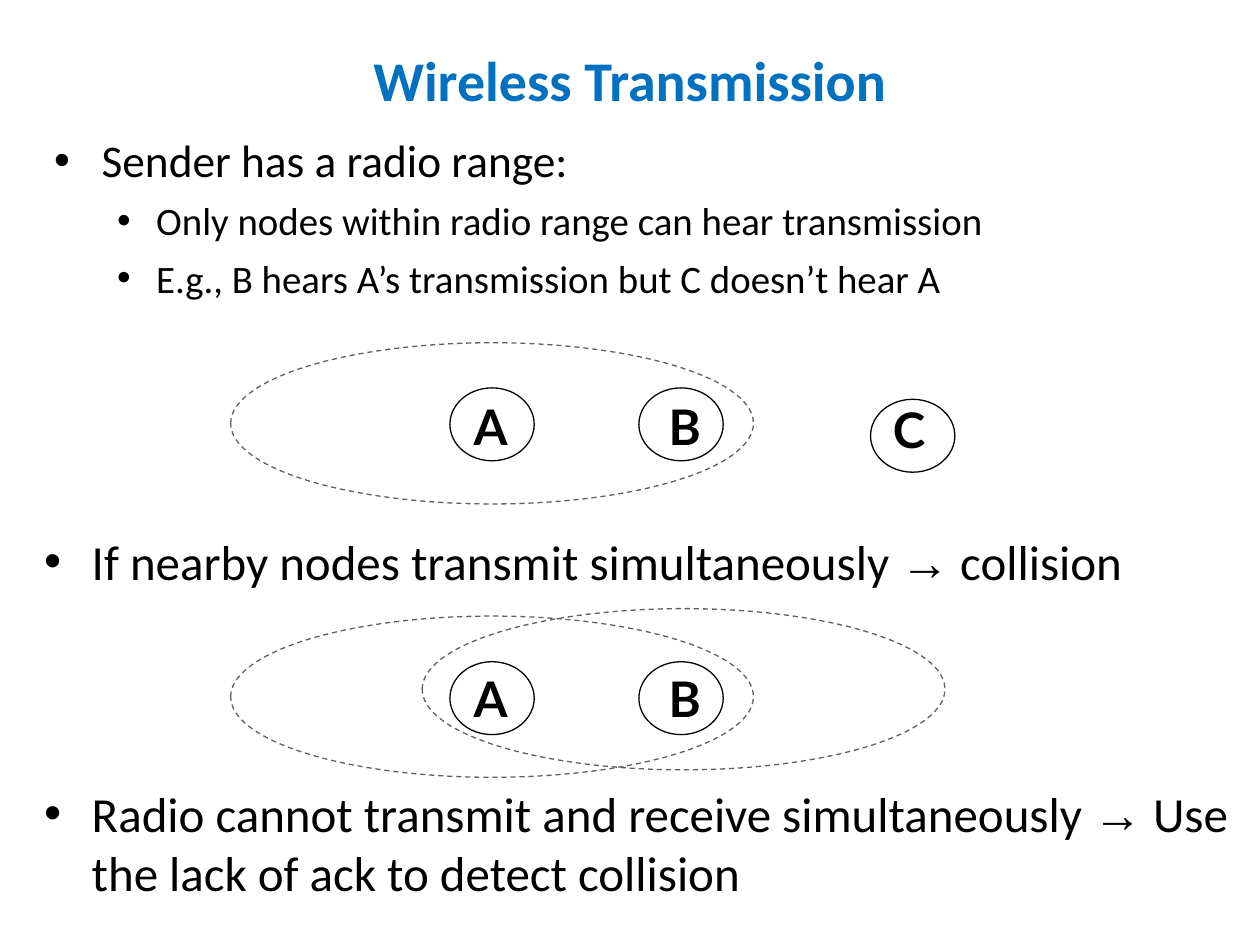
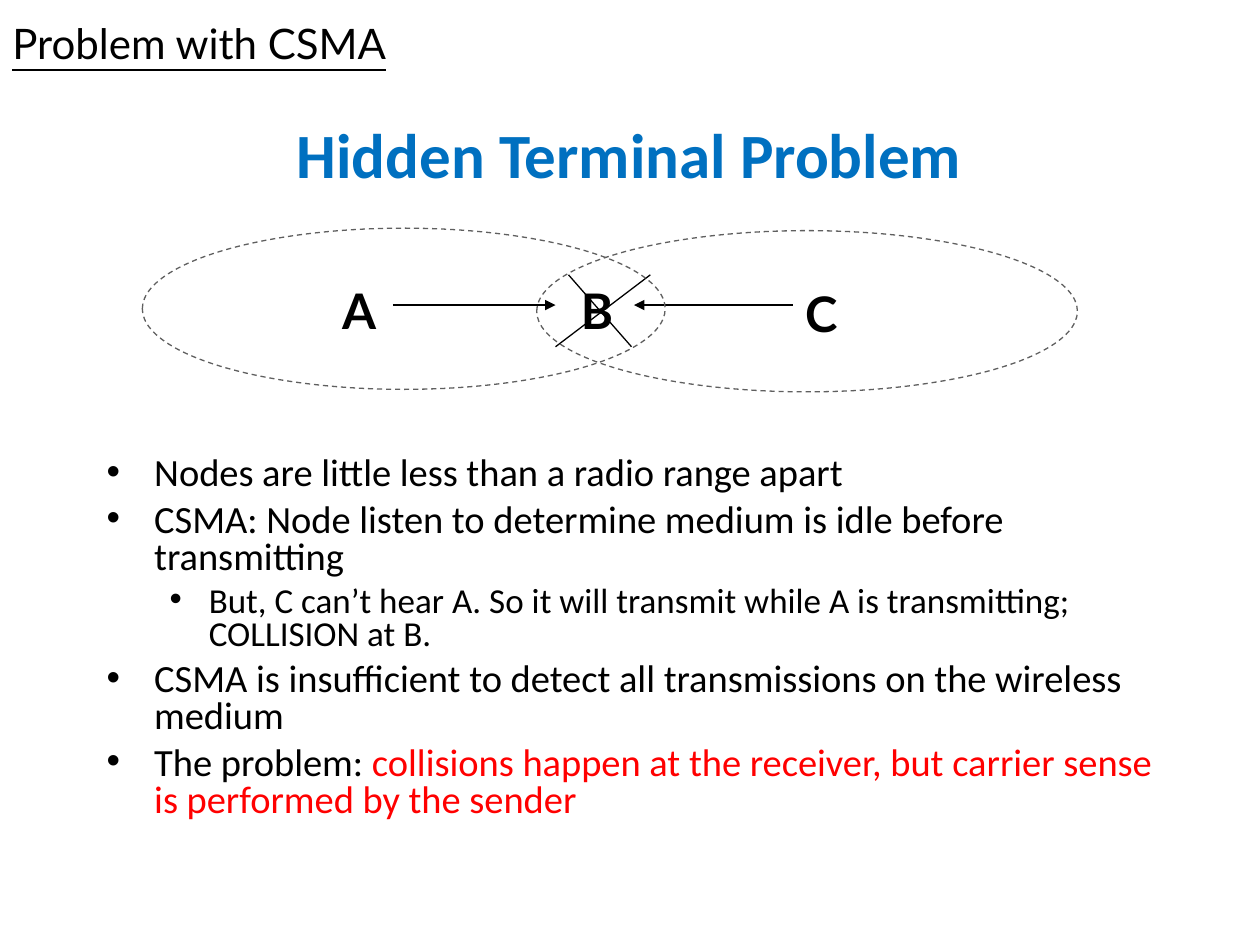
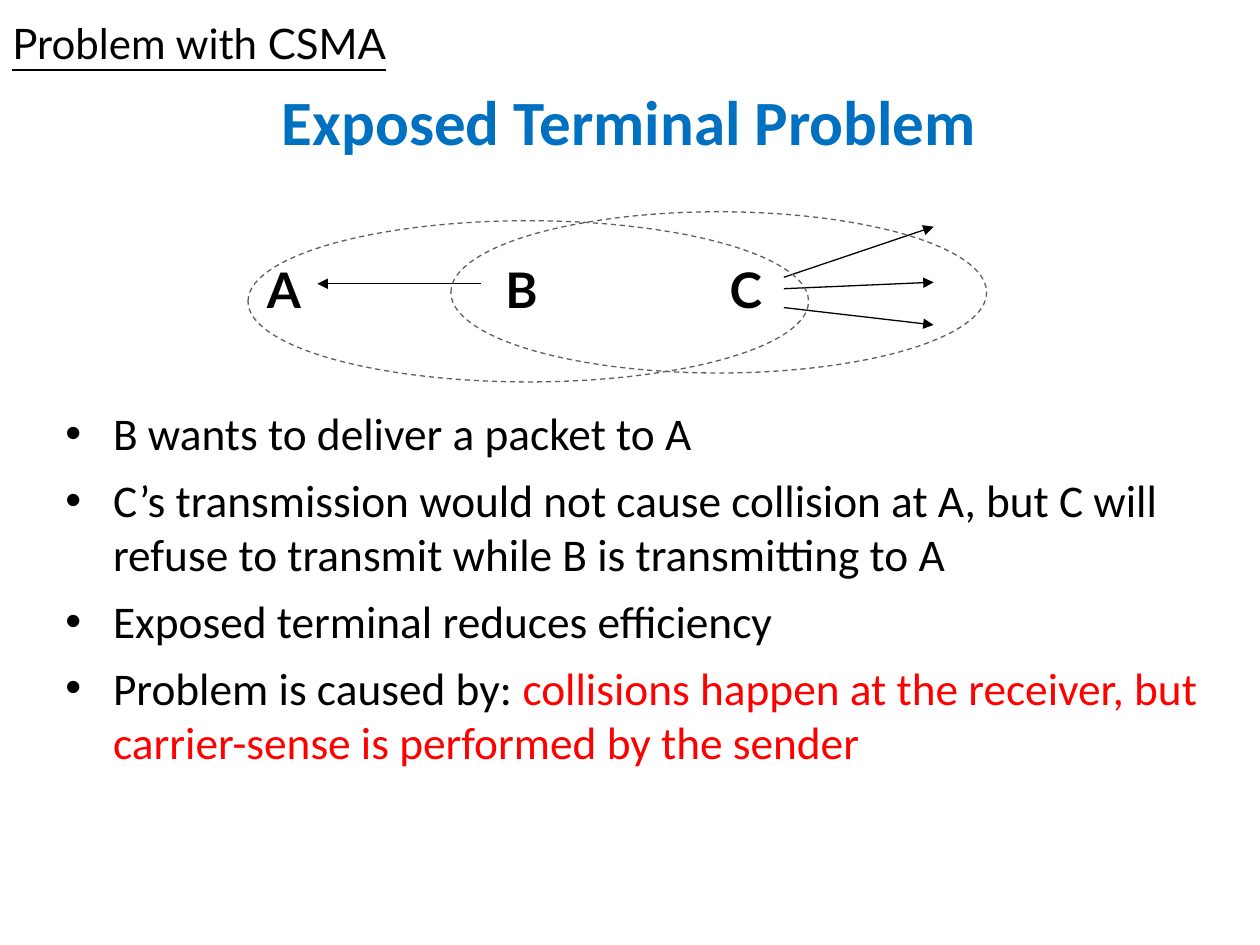
"""Build three slides on wireless transmission and the limits of CSMA."""
from lxml import etree
from pptx import Presentation, util as u
from pptx.dml.color import RGBColor
from pptx.enum import dml, shapes, text
from pptx.oxml.ns import qn

COLORS = {"title": "0070C0", "ink": "000000", "range": "5F5F5F", "alert": "FF0000"}
TITLE = {"name": "Calibri", "bold": True}
BODY = {"name": "Calibri"}
ARROW = {"name": "Arial"}
LABEL = {"name": "Lato", "size": u.Pt(28), "bold": True}
SECTION = {"name": "Lato", "size": u.Pt(24), "underline": True}
FRAME = {"word_wrap": True, "vertical_anchor": text.MSO_ANCHOR.TOP}
INDENTS = [(0.96, -0.96), (2.06, -0.79)]
RANGE_HEIGHT = 3.25
RANGE_WIDTH = 10.54
NODE_STEPS = {"A": 0, "B": 4.81, "C": 9.33}


def apply(target, formats):
    """Set every attribute named in formats on target."""
    for name, value in formats.items():
        setattr(target, name, value)


def add_page(deck):
    """Append a blank page."""
    return deck.slides.add_slide(deck.slide_layouts[6])


def add_box(page, left, top, width, height, **formats):
    """Add a wrapping text box and return its text frame."""
    box = page.shapes.add_textbox(*map(u.Cm, (left, top, width, height)))
    apply(box.text_frame, {**FRAME, **formats})
    return box.text_frame


def add_span(para, words, font, color="ink"):
    """Add a run of words in one font and colour."""
    span = para.add_run()
    span.text = words
    apply(span.font, font)
    span.font.color.rgb = RGBColor.from_string(COLORS[color])


def add_title(page, words, size, place):
    """Add the centred blue title."""
    frame = add_box(page, *place, vertical_anchor=text.MSO_ANCHOR.MIDDLE)
    para = frame.paragraphs[0]
    para.alignment = text.PP_ALIGN.CENTER
    add_span(para, words, {**TITLE, "size": u.Pt(size)}, "title")


def add_section(page):
    """Add the underlined section name in the top left corner."""
    frame = add_box(page, 0, 0.23, 9.7, 1.27)
    add_span(frame.paragraphs[0], "Problem with CSMA", SECTION)


def add_label(page, name, left, top):
    """Add the letter of a network node."""
    add_span(add_box(page, left, top, 1.27, 1.45).paragraphs[0], name, LABEL)


def add_labels(page, left, tops):
    """Add the letters A, B and C at their common steps."""
    for (name, step), top in zip(NODE_STEPS.items(), tops):
        add_label(page, name, left + step, top)


def add_bullet(para, level):
    """Give a paragraph a hanging bullet."""
    props = para._p.get_or_add_pPr()
    margin, indent = INDENTS[level]
    props.set("marL", str(u.Cm(margin)))
    props.set("indent", str(u.Cm(indent)))
    color = etree.SubElement(props, qn("a:buClr"))
    etree.SubElement(color, qn("a:srgbClr"), val=COLORS["ink"])
    etree.SubElement(props, qn("a:buFont"), typeface="Arial")
    etree.SubElement(props, qn("a:buChar"), char="•")


def add_bullets(page, place, items, sizes, befores, spacing=None):
    """Add bulleted paragraphs, each a level followed by its spans."""
    frame = add_box(page, *place)
    for index, (level, *spans) in enumerate(items):
        para = frame.add_paragraph() if index else frame.paragraphs[0]
        apply(para, {"level": level, "space_before": u.Pt(befores[level]),
                     "line_spacing": spacing})
        add_bullet(para, level)
        for words, *style in spans:
            font, color = style or (BODY, "ink")
            add_span(para, words, {**font, "size": u.Pt(sizes[level])}, color)


def add_ellipse(page, left, top, width, height, color, dash=None):
    """Add an unfilled ellipse with a thin outline."""
    ellipse = page.shapes.add_shape(
        shapes.MSO_SHAPE.OVAL, *map(u.Cm, (left, top, width, height)))
    ellipse.shadow.inherit = False
    ellipse.fill.background()
    ellipse.line.color.rgb = RGBColor.from_string(COLORS[color])
    apply(ellipse.line, {"width": u.Pt(0.75), "dash_style": dash})


def add_range(page, left, top, width=RANGE_WIDTH):
    """Add the dashed radio range of a node."""
    add_ellipse(page, left, top, width, RANGE_HEIGHT, "range", dml.MSO_LINE.DASH)


def add_ring(page, left, top):
    """Add the ring around a node."""
    add_ellipse(page, left, top, 1.7, 1.47, "ink")


def add_line(page, start, end, arrow=True):
    """Add a thin line, with an arrowhead at its end if wanted."""
    line = page.shapes.add_connector(
        shapes.MSO_CONNECTOR.STRAIGHT, *map(u.Cm, (*start, *end)))
    line.line.color.rgb = RGBColor.from_string(COLORS["ink"])
    line.line.width = u.Pt(0.75)
    if arrow:
        etree.SubElement(line.line._get_or_add_ln(), qn("a:tailEnd"), type="triangle")
    etree.SubElement(line._element.spPr, qn("a:effectLst"))


def add_transmission(deck):
    """Build the page on radio range and collisions."""
    page = add_page(deck)
    add_title(page, "Wireless Transmission", 32, (0, 0, 25.4, 3.18))
    add_bullets(page, (0.84, 2.54, 23.5, 4.45), [
        (0, ("Sender has a radio range:",)),
        (1, ("Only nodes within radio range can hear transmission",)),
        (1, ("E.g., B hears A’s transmission but C doesn’t hear A",)),
    ], (25.9, 22.2), (7, 6))
    for top, before, after in [
        (10.59, "If nearby nodes transmit simultaneously ", " collision"),
        (15.67, "Radio cannot transmit and receive simultaneously ",
         " Use the lack of ack to detect collision"),
    ]:
        spans = (before,), ("→", ARROW, "ink"), (after,)
        add_bullets(page, (0.64, top, 24.56, 2.54), [(0, *spans)], [28], [7])
    for label_top, ring_top, range_top in [(7.87, 7.82, 6.91), (13.36, 13.34, 12.42)]:
        add_range(page, 4.65, range_top)
        for name, label_left, ring_left in [("A", 9.3, 9.07), ("B", 13.23, 12.88)]:
            add_label(page, name, label_left, label_top)
            add_ring(page, ring_left, ring_top)
    add_label(page, "C", 17.75, 7.92)
    add_ring(page, 17.55, 8.05)
    add_range(page, 8.51, 12.27)


def add_hidden_terminal(deck):
    """Build the page on the hidden terminal problem."""
    page = add_page(deck)
    add_title(page, "Hidden Terminal Problem", 36, (1.19, 2.01, 22.99, 2.16))
    add_bullets(page, (1.9, 9.09, 21.59, 8.05), [
        (0, ("Nodes are little less than a radio range apart",)),
        (0, ("CSMA: Node listen to determine medium is idle before transmitting",)),
        (1, ("But, C can’t hear A. So it will transmit while A is transmitting; "
             "COLLISION at B.",)),
        (0, ("CSMA is insufficient to detect all transmissions on the wireless medium",)),
        (0, ("The problem: ",),
         ("collisions happen at the receiver, but carrier sense is performed by "
          "the sender", BODY, "alert")),
    ], (22, 20), (5.5, 5), 0.8)
    add_labels(page, 6.65, (5.54, 5.54, 5.59))
    add_line(page, (7.92, 6.15), (11.2, 6.15))
    add_line(page, (15.98, 6.15), (12.78, 6.15))
    add_line(page, (13.11, 5.54), (11.2, 6.99), arrow=False)
    add_line(page, (11.46, 5.54), (12.73, 6.99), arrow=False)
    add_range(page, 2.87, 4.6)
    add_range(page, 10.82, 4.65, 10.9)
    add_section(page)


def add_exposed_terminal(deck):
    """Build the page on the exposed terminal problem."""
    page = add_page(deck)
    add_title(page, "Exposed Terminal Problem", 36, (1.19, 1.35, 22.99, 2.16))
    add_bullets(page, (1.07, 8.05, 23.5, 10.11), [
        (0, ("B wants to deliver a packet to A",)),
        (0, ("C’s transmission would not cause collision at A, but C will refuse "
             "to transmit while B is transmitting to A",)),
        (0, ("Exposed terminal reduces efficiency",)),
        (0, ("Problem is caused by: ",),
         ("collisions happen at the receiver, but carrier-sense is performed by "
          "the sender", BODY, "alert")),
    ], [25.9], [7])
    add_labels(page, 5.13, (5.11, 5.11, 5.11))
    add_line(page, (9.7, 5.72), (6.4, 5.72))
    for start, end in [(5.59, 4.57), (5.82, 5.69), (6.2, 6.55)]:
        add_line(page, (15.8, start), (18.82, end))
    add_range(page, 9.09, 4.27, 10.8)
    add_range(page, 5, 4.45, 11.3)
    add_section(page)


def main():
    """Build and save the deck."""
    deck = Presentation()
    apply(deck, {"slide_width": u.Cm(25.4), "slide_height": u.Cm(19.05)})
    add_transmission(deck)
    add_hidden_terminal(deck)
    add_exposed_terminal(deck)
    deck.save("out.pptx")


if __name__ == "__main__":
    main()
